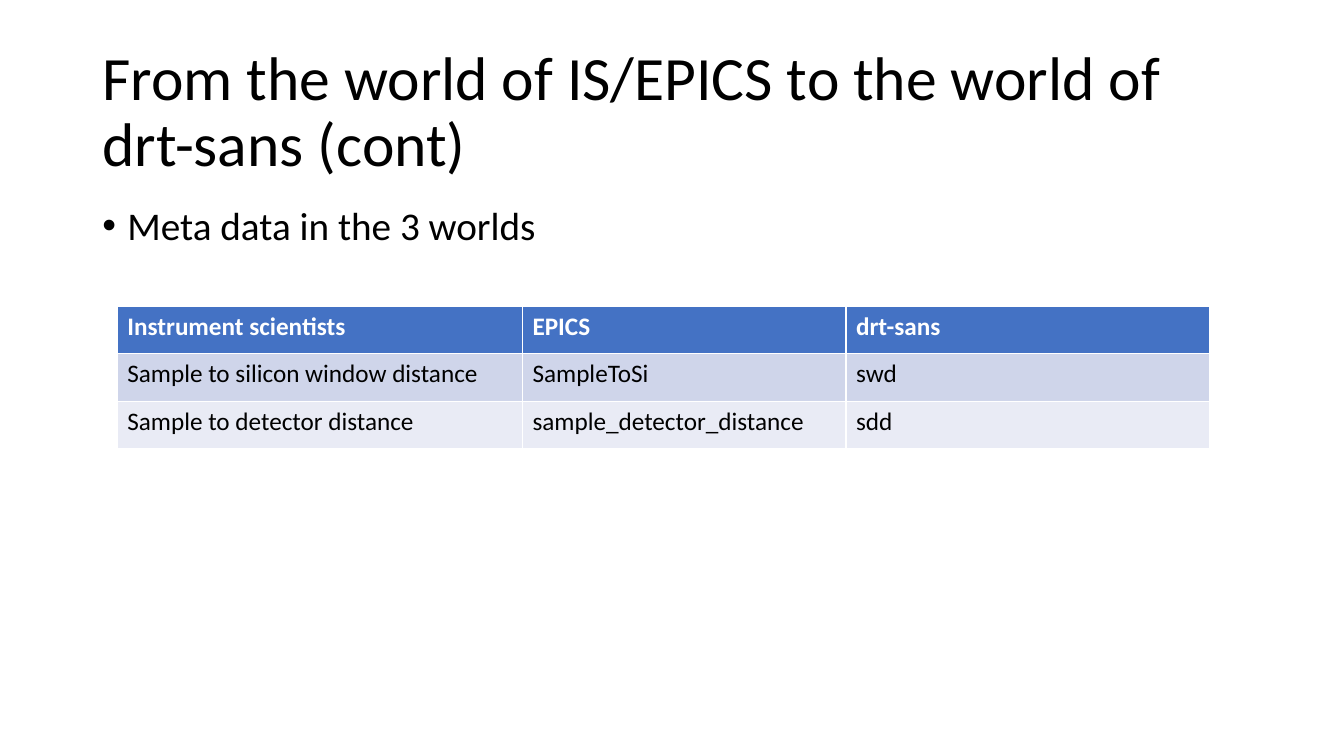
"""Build the slide that maps metadata names between instrument scientists, EPICS and drt-sans."""
from dataclasses import dataclass

from lxml.etree import SubElement
from pptx import Presentation
from pptx.dml.color import RGBColor
from pptx.enum.text import MSO_ANCHOR, MSO_AUTO_SIZE, PP_ALIGN
from pptx.oxml.ns import qn
from pptx.util import Pt


@dataclass(frozen=True)
class Theme:
    font: str = "Calibri"
    title_size: int = 44
    bullet_size: int = 28
    table_size: int = 18
    text: str = "000000"
    header_text: str = "FFFFFF"
    header_fill: str = "4472C4"
    band_fills: tuple = ("CFD5EA", "E9EBF5")


theme = Theme()


def style_paragraph(paragraph, size, color=theme.text, bold=False):
    """Set the font and left alignment of a paragraph."""
    paragraph.alignment = PP_ALIGN.LEFT
    paragraph.font.name = theme.font
    paragraph.font.size = Pt(size)
    paragraph.font.bold = bold
    paragraph.font.color.rgb = RGBColor.from_string(color)


presentation = Presentation()
presentation.slide_width, presentation.slide_height = Pt(960), Pt(540)
slide = presentation.slides.add_slide(presentation.slide_layouts[5])

title = slide.shapes.title
title.left, title.top, title.width, title.height = Pt(66), Pt(28.75), Pt(828), Pt(104.4)
title.text_frame.text = "From the world of IS/EPICS to the world of drt-sans (cont)"
title.text_frame.word_wrap = True
title.text_frame.auto_size = MSO_AUTO_SIZE.NONE
title.text_frame.vertical_anchor = MSO_ANCHOR.MIDDLE
title_paragraph = title.text_frame.paragraphs[0]
title_paragraph.line_spacing = 0.9
style_paragraph(title_paragraph, theme.title_size)

body = slide.shapes.add_textbox(Pt(66), Pt(143.75), Pt(828), Pt(342.6))
body.text_frame.word_wrap = True
bullet = body.text_frame.paragraphs[0]
bullet.text = "Meta data in the 3 worlds"
bullet.line_spacing = 0.9
bullet.space_before = Pt(10)
style_paragraph(bullet, theme.bullet_size)
bullet_properties = bullet._p.get_or_add_pPr()
bullet_properties.set("marL", str(Pt(18)))
bullet_properties.set("indent", str(Pt(-18)))
SubElement(bullet_properties, qn("a:buFont")).set("typeface", "Arial")
SubElement(bullet_properties, qn("a:buChar")).set("char", "•")
bullet_properties.append(bullet_properties.find(qn("a:defRPr")))

names = [
    ("Instrument scientists", "EPICS", "drt-sans"),
    ("Sample to silicon window distance", "SampleToSi", "swd"),
    ("Sample to detector distance", "sample_detector_distance", "sdd"),
]
column_widths = (289.4, 231.1, 259.9)
row_height = 33.9
table = slide.shapes.add_table(
    len(names), len(column_widths), Pt(83.8), Pt(218.9),
    Pt(sum(column_widths)), Pt(row_height * len(names)),
).table
for column, width in zip(table.columns, column_widths):
    column.width = Pt(width)

for row_index, row_names in enumerate(names):
    is_header = row_index == 0
    fill = theme.header_fill if is_header else theme.band_fills[(row_index - 1) % 2]
    color = theme.header_text if is_header else theme.text
    table.rows[row_index].height = Pt(row_height)
    for column_index, name in enumerate(row_names):
        cell = table.cell(row_index, column_index)
        cell.text = name
        cell.fill.solid()
        cell.fill.fore_color.rgb = RGBColor.from_string(fill)
        style_paragraph(cell.text_frame.paragraphs[0], theme.table_size, color, is_header)

presentation.save("out.pptx")
